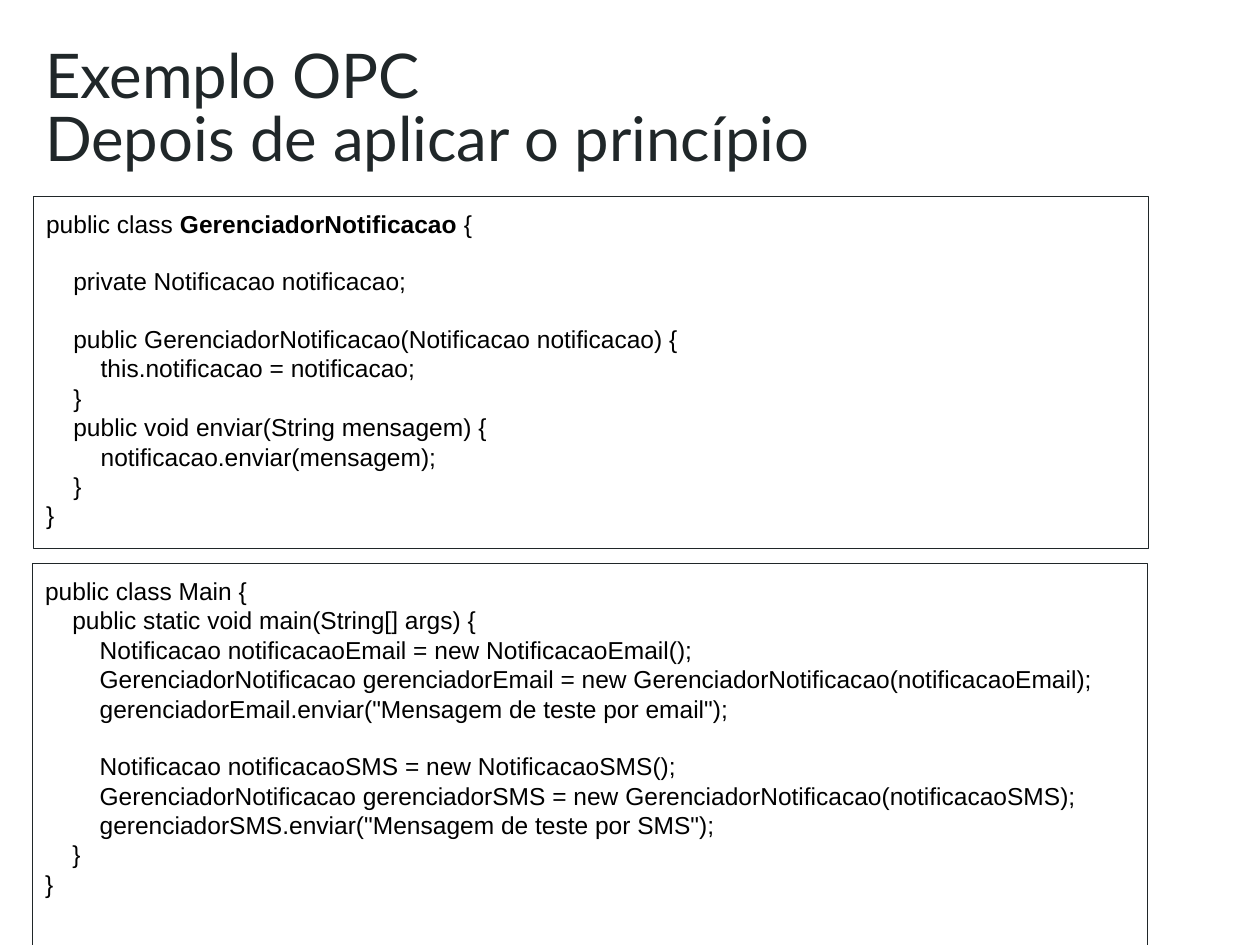
from dataclasses import dataclass

from pptx import Presentation
from pptx.dml.color import RGBColor
from pptx.enum.shapes import MSO_SHAPE
from pptx.enum.text import MSO_ANCHOR, PP_ALIGN
from pptx.slide import Slide
from pptx.text.text import TextFrame
from pptx.util import Cm, Pt


@dataclass(frozen=True)
class Theme:
    ink: RGBColor = RGBColor(0x20, 0x27, 0x29)
    code: RGBColor = RGBColor(0, 0, 0)
    title_font: str = "Lato"
    code_font: str = "Arial"
    title_size: float = 35.2
    code_size: float = 14
    blank_line: float = 16.1
    border: float = 0.75
    inset: float = 0.25
    indent: float = 0.55


@dataclass(frozen=True)
class Line:
    text: str
    level: int = 0
    gap_before: bool = False
    bold_part: str = ""


@dataclass(frozen=True)
class CodePanel:
    left: float
    top: float
    height: float
    lines: tuple[Line, ...]
    width: float = 22.48


THEME = Theme()
TITLE = "Exemplo OPC\nDepois de aplicar o princípio"
PANELS = (
    CodePanel(0.68, 3.96, 7.1, (
        Line("public class GerenciadorNotificacao {", bold_part="GerenciadorNotificacao "),
        Line("private Notificacao notificacao;", 1, True),
        Line("public GerenciadorNotificacao(Notificacao notificacao) {", 1, True),
        Line("this.notificacao = notificacao;", 2),
        Line("}", 1),
        Line("public void enviar(String mensagem) {", 1),
        Line("notificacao.enviar(mensagem);", 2),
        Line("}", 1),
        Line("}"),
    )),
    CodePanel(0.66, 11.36, 7.7, (
        Line("public class Main {"),
        Line("public static void main(String[] args) {", 1),
        Line("Notificacao notificacaoEmail = new NotificacaoEmail();", 2),
        Line("GerenciadorNotificacao gerenciadorEmail = new GerenciadorNotificacao(notificacaoEmail);", 2),
        Line('gerenciadorEmail.enviar("Mensagem de teste por email");', 2),
        Line("Notificacao notificacaoSMS = new NotificacaoSMS();", 2, True),
        Line("GerenciadorNotificacao gerenciadorSMS = new GerenciadorNotificacao(notificacaoSMS);", 2),
        Line('gerenciadorSMS.enviar("Mensagem de teste por SMS");', 2),
        Line("}", 1),
        Line("}"),
    )),
)


def set_frame(frame: TextFrame, vertical_inset: float, anchor: MSO_ANCHOR) -> None:
    frame.word_wrap = True
    frame.vertical_anchor = anchor
    frame.margin_left = frame.margin_right = Cm(THEME.inset)
    frame.margin_top = frame.margin_bottom = Cm(vertical_inset)


def format_span(span, font: str, size: float, color: RGBColor) -> None:
    span.font.name = font
    span.font.size = Pt(size)
    span.font.color.rgb = color


def add_title(page: Slide) -> None:
    frame = page.shapes.add_textbox(Cm(0.66), Cm(0.28), Cm(23.32), Cm(3.35)).text_frame
    set_frame(frame, THEME.inset / 2, MSO_ANCHOR.BOTTOM)
    frame.text = TITLE
    for para in frame.paragraphs:
        para.line_spacing = 0.85
        for span in para.runs:
            format_span(span, THEME.title_font, THEME.title_size, THEME.ink)


def write_line(para, line: Line) -> None:
    para.alignment = PP_ALIGN.LEFT
    properties = para._p.get_or_add_pPr()
    properties.set("marL", str(Cm(THEME.indent * line.level)))
    properties.set("indent", "0")
    if line.gap_before:
        para.space_before = Pt(THEME.blank_line)
    parts = line.text.partition(line.bold_part) if line.bold_part else (line.text,)
    for part in parts:
        span = para.add_run()
        span.text = part
        format_span(span, THEME.code_font, THEME.code_size, THEME.code)
        if part == line.bold_part:
            span.font.bold = True


def add_panel(page: Slide, panel: CodePanel) -> None:
    box = page.shapes.add_shape(
        MSO_SHAPE.RECTANGLE, Cm(panel.left), Cm(panel.top), Cm(panel.width), Cm(panel.height)
    )
    box.shadow.inherit = False
    box.fill.background()
    box.line.color.rgb = THEME.ink
    box.line.width = Pt(THEME.border)
    frame = box.text_frame
    set_frame(frame, THEME.inset, MSO_ANCHOR.TOP)
    for index, line in enumerate(panel.lines):
        write_line(frame.add_paragraph() if index else frame.paragraphs[0], line)


def main() -> None:
    deck = Presentation()
    deck.slide_width, deck.slide_height = Cm(25.4), Cm(19.05)
    page = deck.slides.add_slide(deck.slide_layouts[6])
    add_title(page)
    for panel in PANELS:
        add_panel(page, panel)
    deck.save("out.pptx")


if __name__ == "__main__":
    main()
